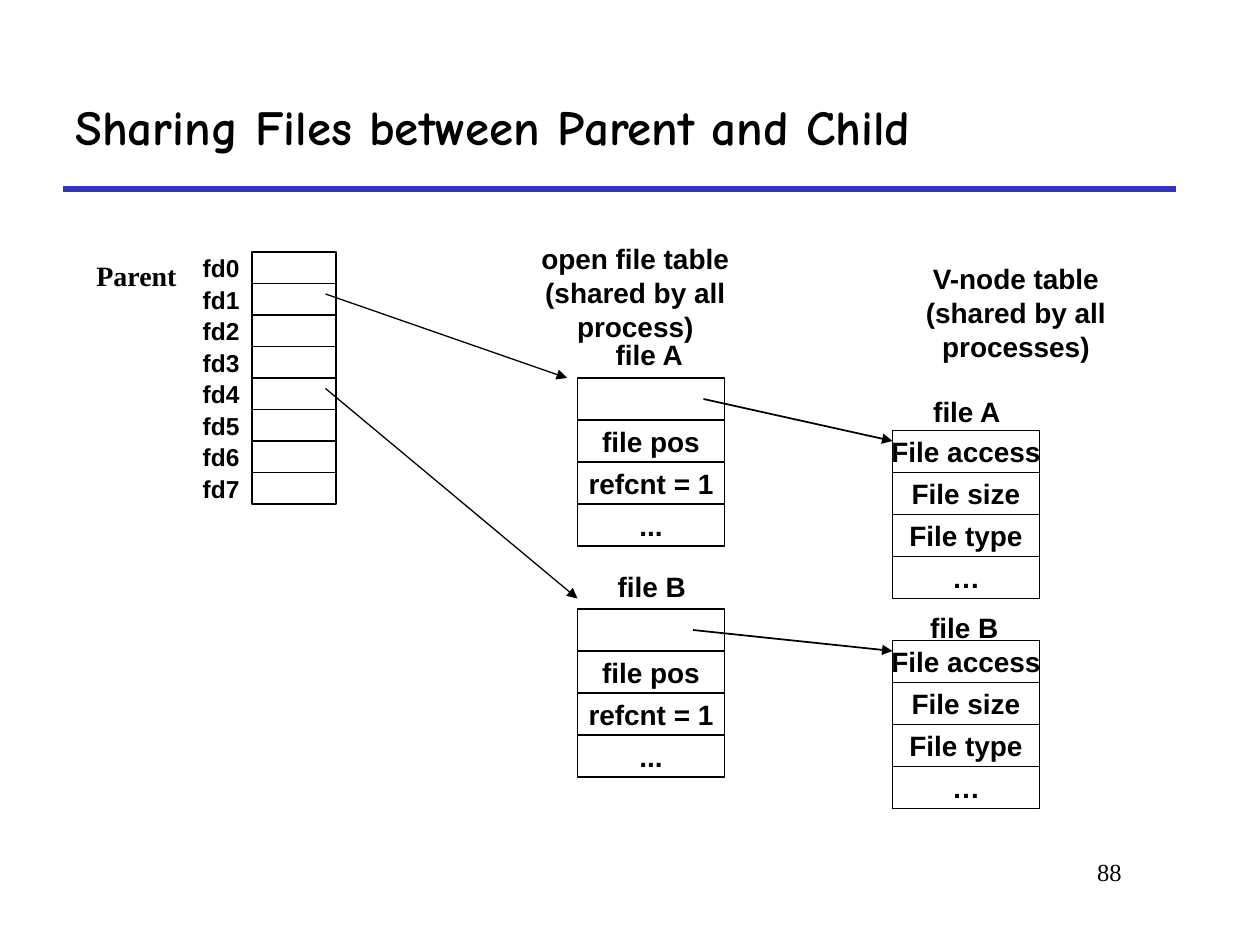
from pptx import Presentation
from pptx.dml.color import RGBColor
from pptx.enum.shapes import MSO_CONNECTOR, MSO_SHAPE
from pptx.enum.text import MSO_ANCHOR, PP_ALIGN
from pptx.oxml import parse_xml
from pptx.oxml.ns import nsdecls
from pptx.util import Pt

BLACK, BLUE = "000000", "3333CC"
LABEL = {"name": "Arial", "size": Pt(16), "bold": True}


def rgb(value):
    return RGBColor.from_string(value)


def add_box(shapes, at, text="", font=LABEL, align=PP_ALIGN.CENTER,
            anchor=MSO_ANCHOR.MIDDLE, wrap=False, outline=False):
    """Add a text box, or an outlined rectangle, with one paragraph per line."""
    at = [Pt(v) for v in at]
    if outline:
        sp = shapes.add_shape(MSO_SHAPE.RECTANGLE, *at)
        sp.shadow.inherit = False
        sp.fill.background()
        sp.line.color.rgb = rgb(BLACK)
        sp.line.width = Pt(1)
    else:
        sp = shapes.add_textbox(*at)
    tf = sp.text_frame
    tf.word_wrap = wrap
    tf.vertical_anchor = anchor
    tf.text = text
    for p in tf.paragraphs:
        p.alignment = align
        for r in p.runs:
            r.font.color.rgb = rgb(BLACK)
            for key, value in font.items():
                setattr(r.font, key, value)


prs = Presentation()
prs.slide_width, prs.slide_height = Pt(720), Pt(540)
s = prs.slides.add_slide(prs.slide_layouts[6])

# Title, page number and headings
add_box(s.shapes, (36, 36, 636, 72), "Sharing Files between Parent and Child",
        {"name": "Comic Neue", "size": Pt(28), "bold": True}, PP_ALIGN.LEFT, wrap=True)
add_box(s.shapes, (546, 486, 102, 36), "88", {"name": "Times New Roman", "size": Pt(14)},
        PP_ALIGN.RIGHT, MSO_ANCHOR.TOP, wrap=True)
add_box(s.shapes, (48, 144, 126, 26.5), "Parent", {**LABEL, "name": "Times New Roman"},
        PP_ALIGN.LEFT, MSO_ANCHOR.TOP, wrap=True)
add_box(s.shapes, (276, 134.5, 174, 65), "open file table\n(shared by all process)", wrap=True)
add_box(s.shapes, (513, 146, 135, 65), "V-node table\n(shared by all processes)", wrap=True)

# Descriptor table of the parent
fd_table = s.shapes.add_group_shape()
for i in range(8):
    y = 144 + 18 * i
    add_box(fd_table.shapes, (144, y, 48, 18), outline=True)
    add_box(fd_table.shapes, (96, y, 48, 18), f"fd{i}", {**LABEL, "size": Pt(14)}, PP_ALIGN.RIGHT)

# Open file entries and v-nodes: name, name position, table position, rows
open_file = ["", "file pos", "refcnt = 1", "..."]
v_node = ["File access", "File size", "File type", "…"]
for name, name_x, name_y, x, y, rows in [
    ("file A", 344, 189.5, 330, 216, open_file),
    ("file B", 345.5, 322, 330, 348, open_file),
    ("file A", 525.5, 222, 510, 246, v_node),
    ("file B", 524, 345.5, 510, 366, v_node),
]:
    add_box(s.shapes, (name_x, name_y, 54, 26.5), name)
    for i, row in enumerate(rows):
        add_box(s.shapes, (x, y + 24 * i, 84, 24), row, outline=True)

# Title rule and pointers
for *ends, color, width, arrow in [
    (36, 108, 672, 108, BLUE, 3, False),
    (186, 168, 324, 216, BLACK, 0.75, True),
    (186, 222, 330, 342, BLACK, 0.75, True),
    (402, 228, 510, 252, BLACK, 1, True),
    (396, 360, 510, 372, BLACK, 1, True),
]:
    line = s.shapes.add_connector(MSO_CONNECTOR.STRAIGHT, *[Pt(v) for v in ends])
    line.line.color.rgb = rgb(color)
    line.line.width = Pt(width)
    if arrow:
        line.line._get_or_add_ln().append(
            parse_xml(f'<a:tailEnd {nsdecls("a")} type="triangle"/>'))
    line._element.spPr.append(parse_xml(f'<a:effectLst {nsdecls("a")}/>'))

prs.save("out.pptx")
